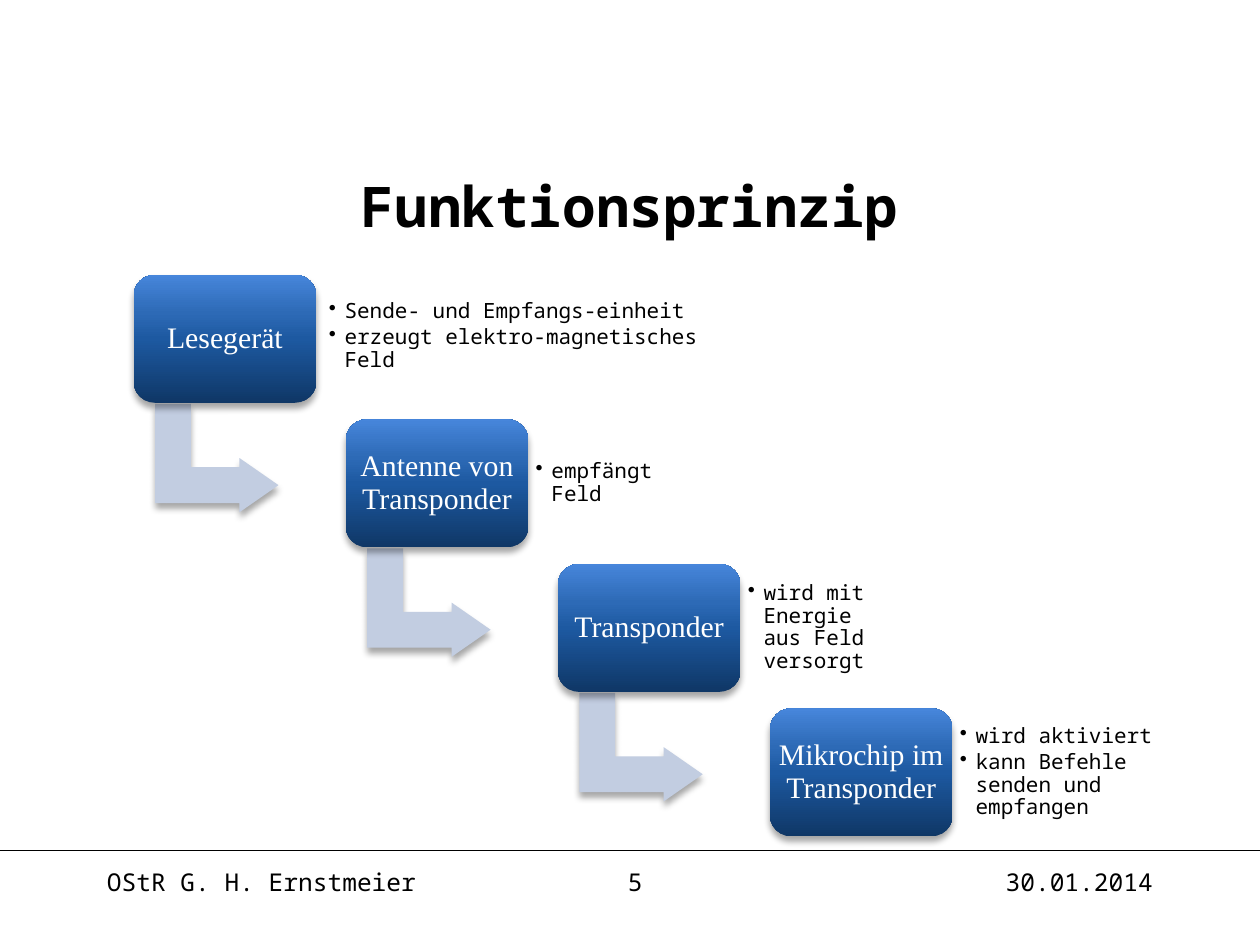
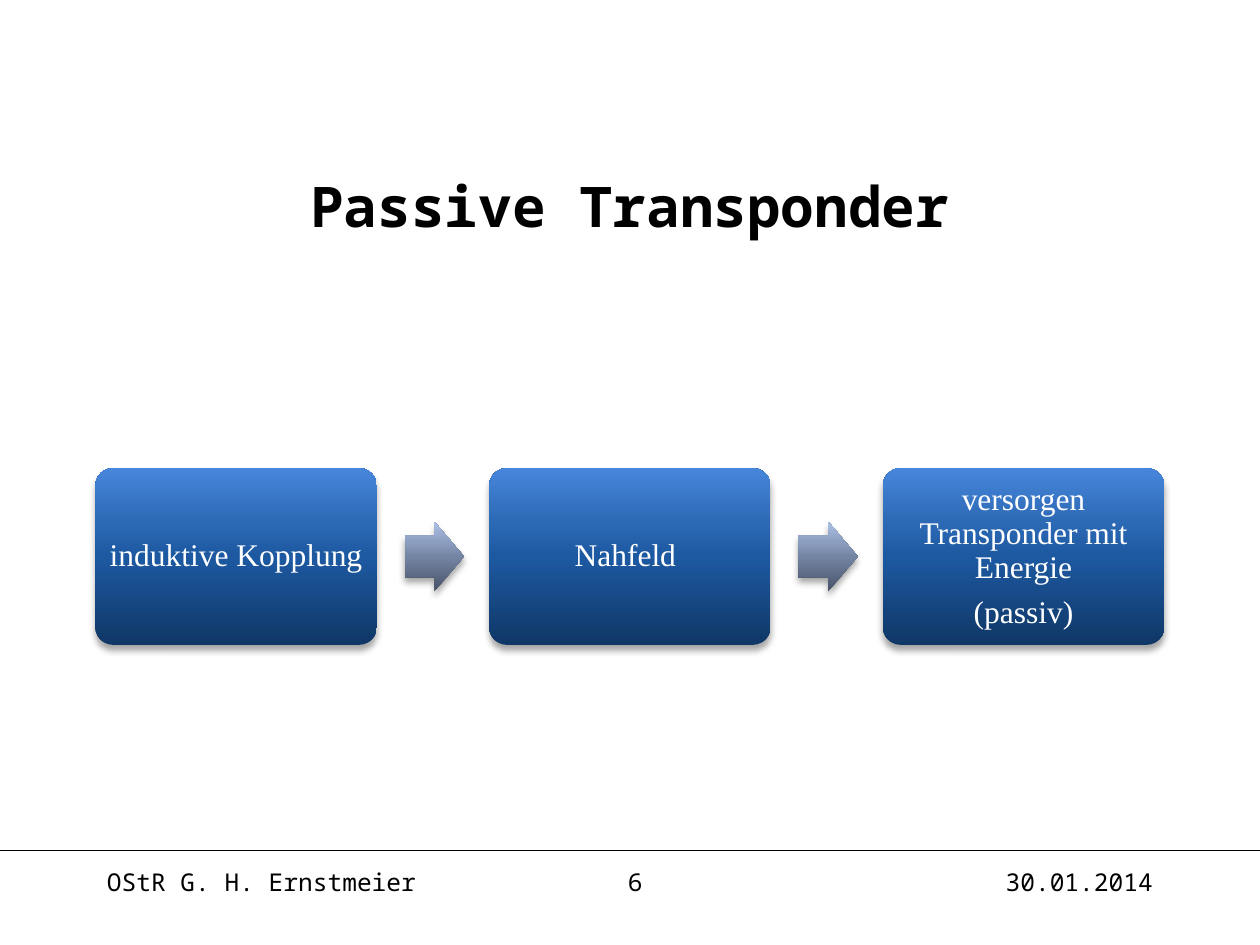
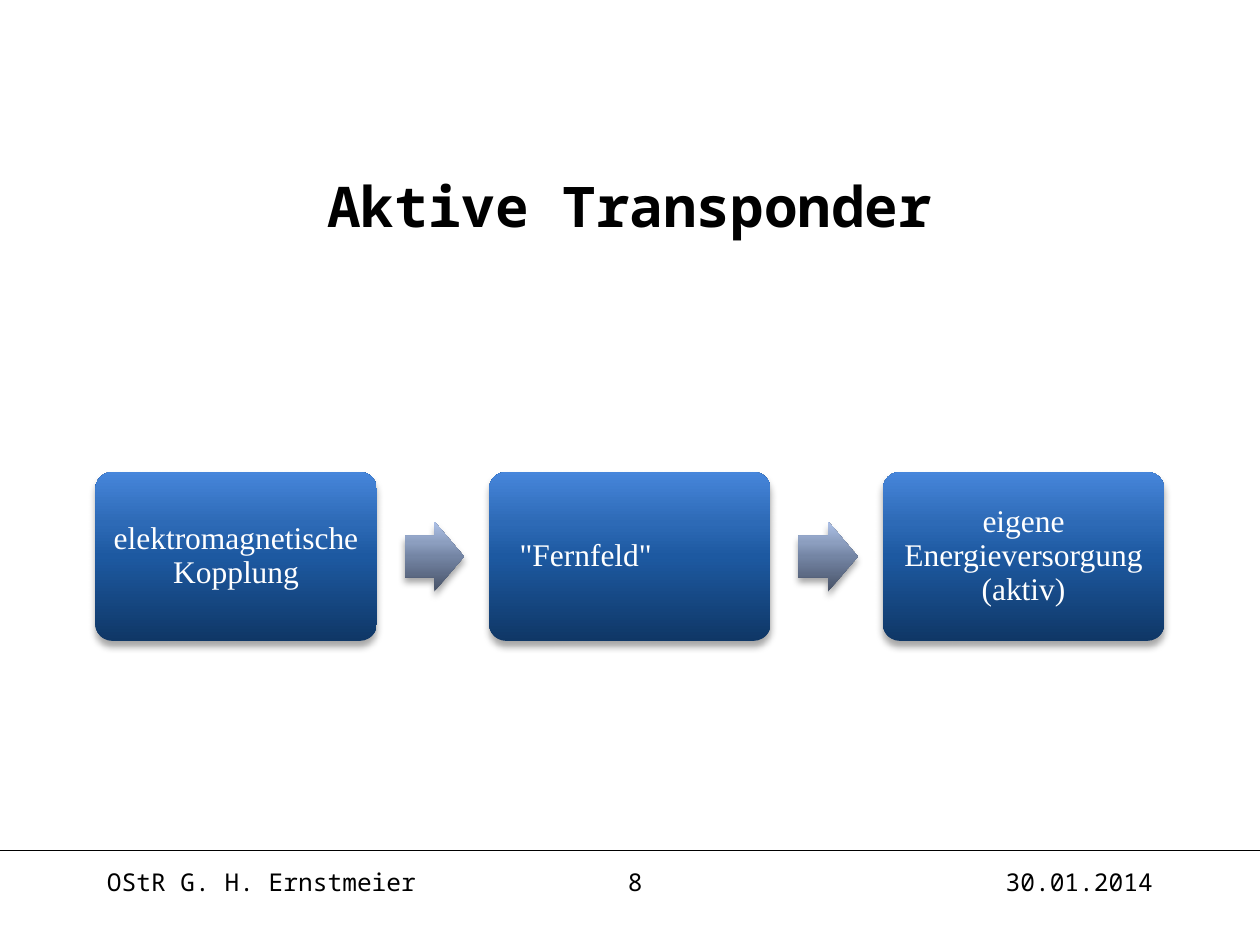
from dataclasses import dataclass

from pptx import Presentation
from pptx.dml.color import RGBColor
from pptx.enum import shapes, text
from pptx.oxml import ns
from pptx.util import Pt
from lxml import etree

MONO, SERIF = "Noto Sans Mono", "Times New Roman"
BLACK, WHITE, PALE_BLUE = "000000", "FFFFFF", "C2CDE1"
# Gradient stops run from bottom to top.
BLUE = ((0, "0F3766"), (50, "1D59A1"), (70, "2D6AB6"), (100, "4786DB"))
GREY = ((0, "475267"), (50, "7485A4"), (70, "8C9EBF"), (100, "ADC1E7"))
LEFT, CENTER, RIGHT = text.PP_ALIGN.LEFT, text.PP_ALIGN.CENTER, text.PP_ALIGN.RIGHT
MIDDLE, TOP = text.MSO_ANCHOR.MIDDLE, text.MSO_ANCHOR.TOP
SHAPE = shapes.MSO_SHAPE


@dataclass(frozen=True)
class Box:
    x: float
    y: float
    w: float
    h: float

    def lengths(self) -> tuple:
        return Pt(self.x), Pt(self.y), Pt(self.w), Pt(self.h)


@dataclass(frozen=True)
class Style:
    font: str
    size: float
    color: str = BLACK
    bold: bool = False
    align: text.PP_ALIGN = LEFT
    anchor: text.MSO_ANCHOR = TOP
    inset: tuple = (7.2, 3.6)
    spacing: float = 1
    after: float = 0
    bullet: bool = False
    tab: float = 72


@dataclass(frozen=True)
class Step:
    label: str
    details: tuple
    area: Box  # place of the details, relative to the step's card


@dataclass(frozen=True)
class Flow:
    title: str
    page: int
    card_h: float
    labels: tuple


TITLE = Style(MONO, 32, bold=True, align=CENTER, anchor=MIDDLE, inset=(0, 0))
DETAILS = Style(MONO, 12, anchor=MIDDLE, inset=(3.6, 3.6), spacing=0.9, after=1.8, bullet=True)
FOOTERS = (
    (Box(516, 492, 150, 36), "30.01.2014", RIGHT),
    (Box(54, 492, 228, 36), "OStR G. H. Ernstmeier", LEFT),
    (Box(288, 492, 150, 36), "{page}", CENTER),
)
STEPS = (
    Step("Lesegerät", ("Sende- und Empfangs-einheit", "erzeugt elektro-magnetisches Feld"),
         Box(108, 0, 219, 70)),
    Step("Antenne von Transponder", ("empfängt Feld",), Box(105, 7, 76, 59)),
    Step("Transponder", ("wird mit Energie aus Feld versorgt",), Box(105, 7, 76, 59)),
    Step("Mikrochip im Transponder", ("wird aktiviert", "kann Befehle senden und empfangen"),
         Box(105, 7, 122, 59)),
)
FLOWS = (
    Flow("Passive Transponder", 6, 101,
         (("induktive Kopplung",), ("Nahfeld\t",),
          ("versorgen Transponder mit Energie", "(passiv)"))),
    Flow("Aktive Transponder", 8, 96.5,
         (("elektromagnetische Kopplung",), ('"Fernfeld"\t',),
          ("eigene Energieversorgung (aktiv)",))),
)


def rgb(color: str) -> RGBColor:
    return RGBColor.from_string(color)


def add_xml(parent, tag: str, **attrs):
    return etree.SubElement(parent, ns.qn(tag), {k: str(v) for k, v in attrs.items()})


def write(sp, lines: tuple, style: Style) -> None:
    tf = sp.text_frame
    tf.word_wrap = True
    tf.vertical_anchor = style.anchor
    tf.margin_left = tf.margin_right = Pt(style.inset[0])
    tf.margin_top = tf.margin_bottom = Pt(style.inset[1])
    for i, line in enumerate(lines):
        p = tf.add_paragraph() if i else tf.paragraphs[0]
        p.text = line
        p.alignment = style.align
        p.line_spacing = style.spacing
        p.space_after = Pt(style.after)
        p.font.name, p.font.size, p.font.bold = style.font, Pt(style.size), style.bold
        p.font.color.rgb = rgb(style.color)
        props = p._p.get_or_add_pPr()
        props.set("defTabSz", str(Pt(style.tab)))
        if style.bullet:
            props.set("marL", str(Pt(9)))
            props.set("indent", str(Pt(-9)))
            bullet = etree.Element(ns.qn("a:buChar"), char="•")
            props.find(ns.qn("a:defRPr")).addprevious(bullet)


def add_text(s, box: Box, lines: tuple, style: Style) -> None:
    write(s.shapes.add_textbox(*box.lengths()), lines, style)


def add_shadowed(s, kind, box: Box, adjustments: tuple, fill):
    """Add a borderless shape; fill is a hex colour or gradient stops."""
    sp = s.shapes.add_shape(kind, *box.lengths())
    for i, value in enumerate(adjustments):
        sp.adjustments[i] = value
    sp.line.fill.background()
    props = sp._element.spPr
    if isinstance(fill, str):
        sp.fill.solid()
        sp.fill.fore_color.rgb = rgb(fill)
    else:
        sp.fill.gradient()
        gradient = props.find(ns.qn("a:gradFill"))
        stops = gradient.find(ns.qn("a:gsLst"))
        for stop in list(stops):
            stops.remove(stop)
        for pos, color in fill:
            add_xml(add_xml(stops, "a:gs", pos=pos * 1000), "a:srgbClr", val=color)
        gradient.find(ns.qn("a:lin")).set("ang", str(270 * 60000))
    sp.shadow.inherit = False
    shadow = add_xml(props.find(ns.qn("a:effectLst")), "a:outerShdw", blurRad=Pt(4),
                     dist=Pt(3), dir=90 * 60000, rotWithShape=0)
    add_xml(add_xml(shadow, "a:srgbClr", val=BLACK), "a:alpha", val=35000)
    return sp


def add_card(s, box: Box, lines: tuple, size: float, rounding: float) -> None:
    sp = add_shadowed(s, SHAPE.ROUNDED_RECTANGLE, box, (rounding,), BLUE)
    # The rounded corners already inset the text by 0.29 of their radius.
    inset = 5 - 0.29 * rounding * min(box.w, box.h)
    write(sp, lines, Style(SERIF, size, WHITE, align=CENTER, anchor=MIDDLE,
                           inset=(inset, inset), spacing=0.9, after=0.35 * size, tab=63))


def add_page(prs, title: str, page: int):
    s = prs.slides.add_slide(prs.slide_layouts[6])
    rule = s.shapes.add_connector(shapes.MSO_CONNECTOR.STRAIGHT, 0, Pt(486), Pt(720), Pt(486))
    rule.line.color.rgb = rgb(BLACK)
    rule.line.width = Pt(0.75)
    add_xml(rule._element.spPr, "a:effectLst")
    add_text(s, Box(54, 75, 612, 84), (title,), TITLE)
    for box, line, align in FOOTERS:
        add_text(s, box, (line.format(page=page),), Style(MONO, 14, align=align))
    return s


def add_staircase(prs) -> None:
    s = add_page(prs, "Funktionsprinzip", 5)
    for i, step in enumerate(STEPS):
        x, y = 76.3 + 121.2 * i, 157 + 82.6 * i
        if i < len(STEPS) - 1:
            arrow = add_shadowed(s, SHAPE.BENT_UP_ARROW, Box(x + 16.6, y + 69.5, 62, 70.5),
                                 (0.33, 0.25, 0.36), PALE_BLUE)
            arrow.rotation = 90
        add_card(s, Box(x, y, 104.5, 73.2), (step.label,), 17, 0.167)
        area = step.area
        add_text(s, Box(x + area.x, y + area.y, area.w, area.h), step.details, DETAILS)


def add_flow(prs, flow: Flow) -> None:
    s = add_page(prs, flow.title, flow.page)
    middle, pitch = 318, 225
    for i, lines in enumerate(flow.labels):
        x = 54.5 + pitch * i
        add_card(s, Box(x, middle - flow.card_h / 2, 160.8, flow.card_h), lines, 18, 0.1)
        if i < len(flow.labels) - 1:
            add_shadowed(s, SHAPE.RIGHT_ARROW, Box(x + 176.7, middle - 20, 34, 40),
                         (0.6, 0.5), GREY)


def main() -> None:
    prs = Presentation()
    prs.slide_width, prs.slide_height = Pt(720), Pt(540)
    add_staircase(prs)
    for flow in FLOWS:
        add_flow(prs, flow)
    prs.save("out.pptx")


if __name__ == "__main__":
    main()
